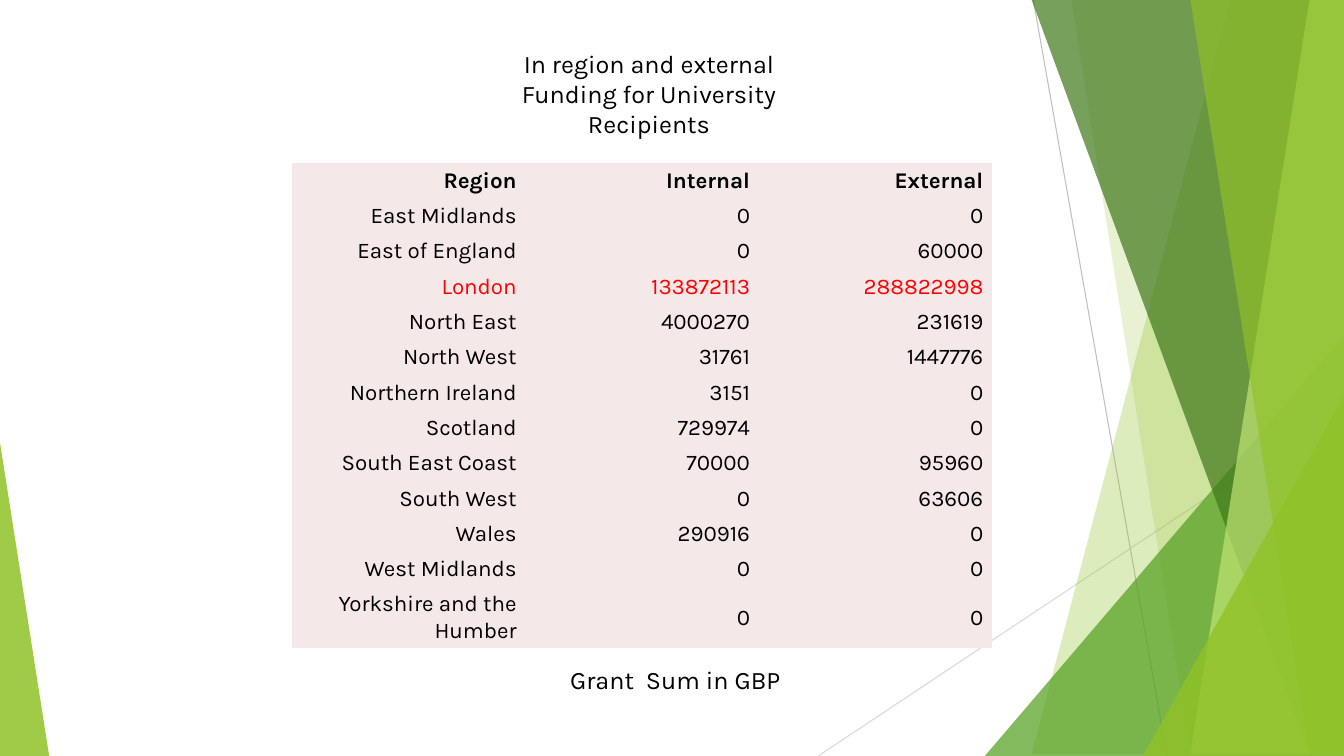
from dataclasses import dataclass
from typing import Any

from lxml import etree
from pptx import Presentation
from pptx.dml.color import RGBColor
from pptx.enum.shapes import MSO_CONNECTOR, MSO_SHAPE
from pptx.enum.text import MSO_ANCHOR, MSO_AUTO_SIZE, PP_ALIGN
from pptx.oxml.ns import qn
from pptx.util import Cm, Pt

STRAIGHT = MSO_CONNECTOR.STRAIGHT
TRIANGLE = MSO_SHAPE.ISOSCELES_TRIANGLE
TOP, MIDDLE = MSO_ANCHOR.TOP, MSO_ANCHOR.MIDDLE
LEFT, CENTER, RIGHT = PP_ALIGN.LEFT, PP_ALIGN.CENTER, PP_ALIGN.RIGHT
FIXED = MSO_AUTO_SIZE.NONE
TITLE_ONLY = 5
NO_TABLE_STYLE = "{2D5ABB26-0587-4C30-8999-92F81FD0307C}"

# Slide extent in centimetres
WIDTH, HEIGHT = 33.87, 19.05


@dataclass(frozen=True)
class Theme:
    font: str = "Karla"
    heading_size: int = 18
    cell_size: int = 16
    text: str = "000000"
    highlight: str = "FF0000"
    cell_fill: str = "F5E8E8"
    lime: str = "90C226"
    pale_lime: str = "C0E474"
    green: str = "54A021"
    dark_green: str = "3F7819"
    grey: str = "BFBFBF"
    light_grey: str = "D9D9D9"


THEME = Theme()


@dataclass(frozen=True)
class Ray:
    """Thin line across the decoration, in centimetres."""
    start: tuple[float, float]
    end: tuple[float, float]
    color: str


@dataclass(frozen=True)
class Band:
    """Panel with a slanted left side, reaching the right slide edge."""
    top_x: float
    bottom_x: float
    color: str
    opacity: int


@dataclass(frozen=True)
class Wedge:
    """Right-angled triangle standing on the bottom slide edge."""
    left: float
    top: float
    width: float
    apex: float
    color: str
    opacity: int


@dataclass(frozen=True)
class Funding:
    region: str
    internal: int
    external: int


RAYS = [
    Ray((26.04, 0), (29.41, HEIGHT), THEME.grey),
    Ray((WIDTH, 10.24), (20.62, HEIGHT), THEME.light_grey),
]
FACETS = [
    Band(31.19, 25.5, THEME.lime, 30),
    Band(26.67, 30.05, THEME.lime, 20),
    Wedge(24.82, 8.46, WIDTH - 24.82, 1, THEME.green, 72),
    Band(25.93, 32.79, THEME.dark_green, 70),
    Band(33.1, 30.28, THEME.pale_lime, 70),
    Band(30.38, 33.48, THEME.lime, 65),
    Wedge(28.8, 9.98, WIDTH - 28.8, 1, THEME.lime, 80),
    Wedge(0, 11.15, 1.24, 0, THEME.lime, 85),
]
HEADINGS = ("Region", "Internal", "External")
HIGHLIGHTED_REGION = "London"
FUNDING = [
    Funding("East Midlands", 0, 0),
    Funding("East of England", 0, 60000),
    Funding("London", 133872113, 288822998),
    Funding("North East", 4000270, 231619),
    Funding("North West", 31761, 1447776),
    Funding("Northern Ireland", 3151, 0),
    Funding("Scotland", 729974, 0),
    Funding("South East Coast", 70000, 95960),
    Funding("South West", 0, 63606),
    Funding("Wales", 290916, 0),
    Funding("West Midlands", 0, 0),
    Funding("Yorkshire and the Humber", 0, 0),
]
ROW_HEIGHT, LAST_ROW_HEIGHT, COLUMN_WIDTH = 0.89, 1.55, 5.88
CELL_FORMAT = {
    "vertical_anchor": MIDDLE,
    "margin_left": Cm(0.23), "margin_right": Cm(0.23),
    "margin_top": Cm(0.11), "margin_bottom": Cm(0.11),
}
FRAME_FORMAT = {"word_wrap": True, "auto_size": FIXED, "vertical_anchor": TOP}


def apply_format(target: Any, values: dict[str, Any]) -> None:
    for attribute, value in values.items():
        setattr(target, attribute, value)


def write(frame: Any, text: str, size: int, align: Any,
          color: str = THEME.text, bold: bool = False) -> None:
    paragraph = frame.paragraphs[0]
    paragraph.alignment = align
    run = paragraph.add_run()
    run.text = text
    apply_format(run.font, {"name": THEME.font, "size": Pt(size), "bold": bold})
    run.font.color.rgb = RGBColor.from_string(color)


def draw_ray(slide: Any, ray: Ray) -> None:
    line = slide.shapes.add_connector(STRAIGHT, *map(Cm, ray.start + ray.end))
    line.line.color.rgb = RGBColor.from_string(ray.color)
    line.line.width = Pt(0.75)
    etree.SubElement(line._element.spPr, qn("a:effectLst"))


def draw_facet(slide: Any, facet: Band | Wedge) -> None:
    if isinstance(facet, Band):
        outline = slide.shapes.build_freeform(facet.top_x, 0, scale=Cm(1))
        outline.add_line_segments(
            [(WIDTH, 0), (WIDTH, HEIGHT), (facet.bottom_x, HEIGHT)])
        shape = outline.convert_to_shape()
    else:
        shape = slide.shapes.add_shape(
            TRIANGLE, Cm(facet.left), Cm(facet.top),
            Cm(facet.width), Cm(HEIGHT - facet.top))
        shape.adjustments[0] = facet.apex
    shape.shadow.inherit = False
    shape.line.fill.background()
    shape.fill.solid()
    shape.fill.fore_color.rgb = RGBColor.from_string(facet.color)
    color = shape._element.spPr.find(qn("a:solidFill"))[0]
    etree.SubElement(color, qn("a:alpha"), val=str(facet.opacity * 1000))


def draw_funding_table(slide: Any) -> None:
    rows = [HEADINGS] + [(f.region, f.internal, f.external) for f in FUNDING]
    heights = [ROW_HEIGHT] * len(FUNDING) + [LAST_ROW_HEIGHT]
    table = slide.shapes.add_table(
        len(rows), len(HEADINGS), Cm(7.37), Cm(4.11),
        Cm(COLUMN_WIDTH * len(HEADINGS)), Cm(sum(heights))).table
    apply_format(table, {"first_row": False, "horz_banding": False})
    table._tbl.tblPr.find(qn("a:tableStyleId")).text = NO_TABLE_STYLE
    for column in table.columns:
        column.width = Cm(COLUMN_WIDTH)
    for row, height, values in zip(table.rows, heights, rows):
        row.height = Cm(height)
        color = THEME.highlight if values[0] == HIGHLIGHTED_REGION else THEME.text
        for cell, value in zip(row.cells, values):
            apply_format(cell, CELL_FORMAT)
            cell.fill.solid()
            cell.fill.fore_color.rgb = RGBColor.from_string(THEME.cell_fill)
            write(cell.text_frame, str(value), THEME.cell_size, RIGHT,
                  color, bold=values is HEADINGS)


presentation = Presentation()
apply_format(presentation, {"slide_width": Cm(WIDTH), "slide_height": Cm(HEIGHT)})
funding_slide = presentation.slides.add_slide(presentation.slide_layouts[TITLE_ONLY])

# Green decoration
for ray in RAYS:
    draw_ray(funding_slide, ray)
for facet in FACETS:
    draw_facet(funding_slide, facet)

# Funding by region
draw_funding_table(funding_slide)

# Heading and unit caption
heading = funding_slide.shapes.title
apply_format(heading, {"left": Cm(12.14), "top": Cm(1.09),
                       "width": Cm(8.43), "height": Cm(1.8)})
apply_format(heading.text_frame, FRAME_FORMAT)
write(heading.text_frame, "In region and external Funding for University Recipients",
      THEME.heading_size, CENTER)

unit_caption = funding_slide.shapes.add_textbox(Cm(14.12), Cm(16.61), Cm(6.43), Cm(1.02))
apply_format(unit_caption.text_frame, FRAME_FORMAT)
write(unit_caption.text_frame, "Grant  Sum in GBP", THEME.heading_size, LEFT)

presentation.save("out.pptx")
